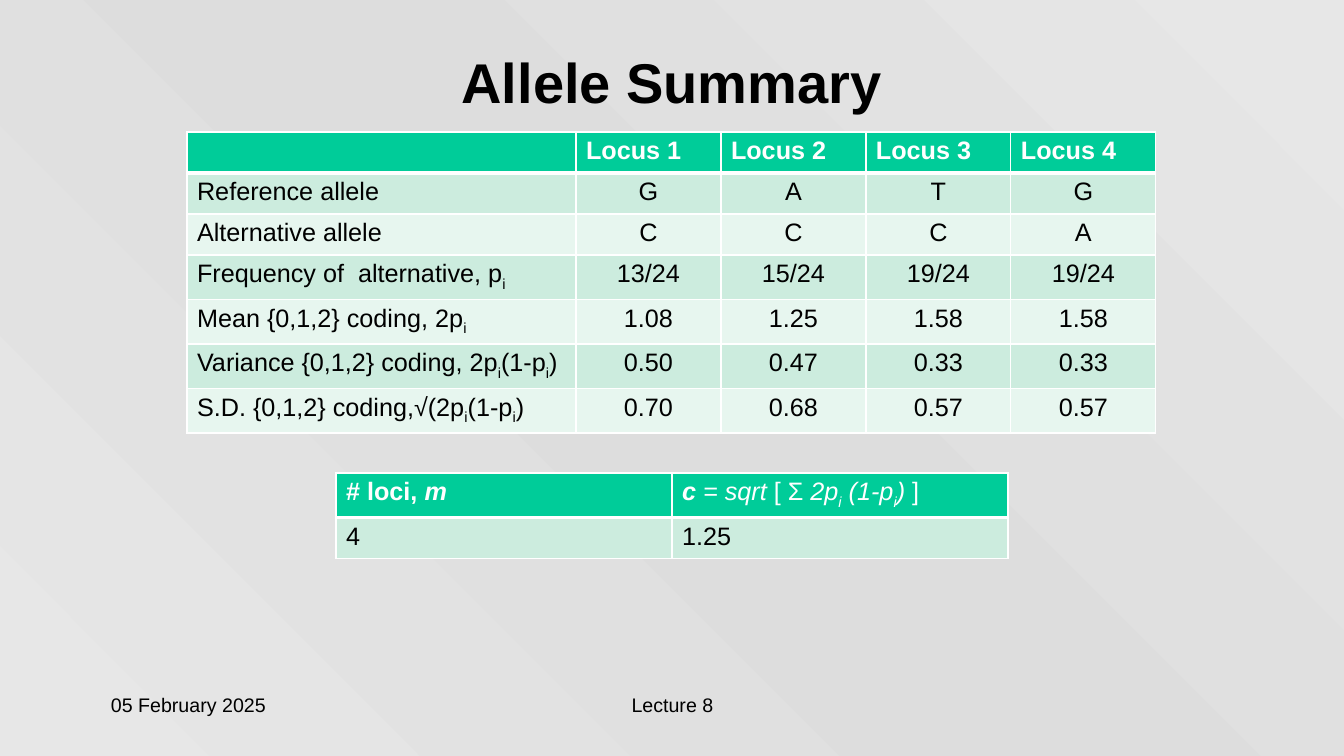
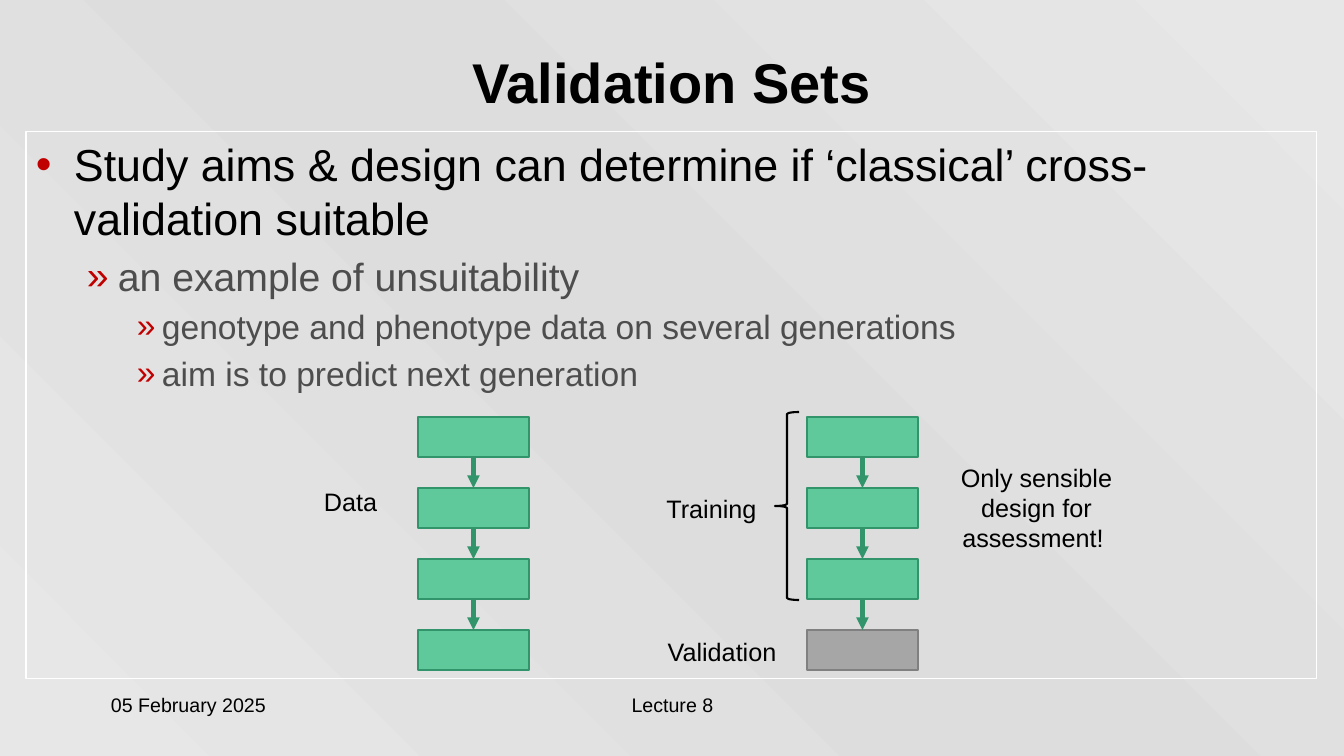
from dataclasses import dataclass

from pptx import Presentation
from pptx.dml.color import RGBColor
from pptx.enum.shapes import MSO_CONNECTOR, MSO_SHAPE as SHAPE
from pptx.enum.text import MSO_ANCHOR, PP_ALIGN
from pptx.oxml.ns import qn
from pptx.oxml.xmlchemy import OxmlElement
from pptx.util import Emu, Pt

LEFT, CENTER = PP_ALIGN.LEFT, PP_ALIGN.CENTER


@dataclass(frozen=True)
class Theme:
    font: str = "Arial"
    title: int = 40
    text: int = 18
    footer: int = 14
    levels: tuple = ((32, "000000"), (28, "4D4D4D"), (24, "4D4D4D"))
    black: str = "000000"
    white: str = "FFFFFF"
    bullet: str = "C00000"
    backdrop: tuple = ((0, "E7E7E7"), (50, "DDDDDD"), (100, "E7E7E7"))
    header: str = "00CC99"
    bands: tuple = ("CCECDE", "E7F6EF")
    data: tuple = ("60C99C", "32946A")
    held_out: tuple = ("A6A6A6", "808080")


T = Theme()

# A run is plain text or (text, flags): b bold, i italic, s subscript
SUB = ("i", "s")
SUB_ITALIC = ("i", "is")

FOOTERS = [
    ("05 February 2025", (101, 688, 280, 50), LEFT),
    ("Lecture 8", (460, 688, 425, 50), CENTER),
]

ALLELES = [
    [[], ["Locus 1"], ["Locus 2"], ["Locus 3"], ["Locus 4"]],
    [["Reference allele"], ["G"], ["A"], ["T"], ["G"]],
    [["Alternative allele"], ["C"], ["C"], ["C"], ["A"]],
    [["Frequency of  alternative, p", SUB],
     ["13/24"], ["15/24"], ["19/24"], ["19/24"]],
    [["Mean {0,1,2} coding, 2p", SUB],
     ["1.08"], ["1.25"], ["1.58"], ["1.58"]],
    [["Variance {0,1,2} coding, 2p", SUB, "(1-p", SUB, ")"],
     ["0.50"], ["0.47"], ["0.33"], ["0.33"]],
    [["S.D. {0,1,2} coding,√(2p", SUB, "(1-p", SUB, ")"],
     ["0.70"], ["0.68"], ["0.57"], ["0.57"]],
]

SCALING = [
    [["# loci, ", ("m", "bi")],
     [("c ", "bi"), ("= sqrt", "i"), (" [ Σ", ""), (" 2p", "i"), SUB_ITALIC,
      (" (1-p", "i"), SUB_ITALIC, (")", "i"), (" ]", "")]],
    [["4"], ["1.25"]],
]

# Level, bullet, left indent, hanging indent, text
POINTS = [
    (0, "•", 38, 38, "Study aims & design can determine if ‘classical’ "
                     "cross-validation suitable"),
    (1, "»", 82, 31, "an example of unsuitability"),
    (2, "»", 126, 25, "genotype and phenotype data on several generations"),
    (2, "»", 126, 25, "aim is to predict next generation"),
]

GENERATIONS = [
    (418, [T.data] * 4),
    (807, [T.data] * 3 + [T.held_out]),
]
BOX_TOP, BOX_W, BOX_H, BOX_GAP = 417, 111, 40, 31

LABELS = [
    ("Data", (314, 481, 88, 40), LEFT),
    ("Training", (651, 488, 121, 40), CENTER),
    ("Validation", (654, 631, 136, 40), CENTER),
    ("Only sensible design for assessment! ", (941, 457, 191, 102), CENTER),
]


def px(n):
    return Emu(round(n * 914400 / 100.8))


def frame(box):
    return [px(n) for n in box]


def rgb(color):
    return RGBColor.from_string(color)


def add_child(parent, tag, **attrs):
    child = OxmlElement(tag)
    for name, value in attrs.items():
        child.set(name, str(value))
    parent.append(child)
    return child


def write(p, runs, size, color=T.black, flags="", align=LEFT):
    p.alignment = align
    p.font.size = Pt(size)
    for item in runs:
        text, style = (item, flags) if isinstance(item, str) else item
        r = p.add_run()
        r.text = text
        r.font.name, r.font.size = T.font, Pt(size)
        r.font.color.rgb = rgb(color)
        r.font.bold, r.font.italic = "b" in style, "i" in style
        if "s" in style:
            r.font._element.set("baseline", "-25000")


def add_text(s, text, box, size, align=LEFT, flags="", anchor=MSO_ANCHOR.TOP):
    tf = s.shapes.add_textbox(*frame(box)).text_frame
    tf.word_wrap = True
    tf.vertical_anchor = anchor
    write(tf.paragraphs[0], [text], size, flags=flags, align=align)


def add_shape(s, kind, box, fill, line, width):
    sp = s.shapes.add_shape(kind, *frame(box))
    sp.shadow.inherit = False
    if fill:
        sp.fill.solid()
        sp.fill.fore_color.rgb = rgb(fill)
    else:
        sp.fill.background()
    sp.line.color.rgb = rgb(line)
    sp.line.width = Pt(width)
    return sp


def add_arrow(s, start, end, color):
    """Join the bottom of one box to the top of the next."""
    line = s.shapes.add_connector(MSO_CONNECTOR.STRAIGHT, 0, 0, 0, 0)
    line.begin_connect(start, 2)
    line.end_connect(end, 0)
    line.line.color.rgb = rgb(color)
    line.line.width = Pt(3)
    add_child(line.line._get_or_add_ln(), "a:tailEnd", type="triangle")
    add_child(line._element.spPr, "a:effectLst")


def style_cell(cell, fill, top, bottom):
    tc_pr = cell._tc.get_or_add_tcPr()
    for side, width in (("L", 1), ("R", 1), ("T", top), ("B", bottom)):
        ln = add_child(tc_pr, f"a:ln{side}", w=Pt(width))
        add_child(add_child(ln, "a:solidFill"), "a:srgbClr", val=T.white)
    cell.fill.solid()
    cell.fill.fore_color.rgb = rgb(fill)


def add_table(s, rows, x, y, widths, row_h=41, value_align=LEFT):
    box = (x, y, sum(widths), row_h * len(rows))
    table = s.shapes.add_table(len(rows), len(widths), *frame(box)).table
    for column, width in zip(table.columns, widths):
        column.width = px(width)
    for i, row in enumerate(rows):
        table.rows[i].height = px(row_h)
        fill = T.bands[(i - 1) % 2] if i else T.header
        color, flags = (T.black, "") if i else (T.white, "b")
        for j, runs in enumerate(row):
            cell = table.cell(i, j)
            style_cell(cell, fill, 3 if i == 1 else 1, 1 if i else 3)
            align = value_align if i and j else LEFT
            write(cell.text_frame.paragraphs[0], runs, T.text, color, flags, align)


def add_points(s, points, box):
    sp = add_shape(s, SHAPE.RECTANGLE, box, None, T.white, 0.75)
    tf = sp.text_frame
    tf.word_wrap = True
    tf.vertical_anchor = MSO_ANCHOR.TOP
    for i, (level, mark, indent, hang, text) in enumerate(points):
        size, color = T.levels[level]
        p = tf.add_paragraph() if i else tf.paragraphs[0]
        p.level = level
        p_pr = p._p.get_or_add_pPr()
        p_pr.set("marL", str(px(indent)))
        p_pr.set("indent", str(px(-hang)))
        add_child(add_child(p_pr, "a:buClr"), "a:srgbClr", val=T.bullet)
        add_child(p_pr, "a:buFont", typeface=T.font)
        add_child(p_pr, "a:buChar", char=mark)
        if i:
            p.space_before = Pt(round(size * 0.2, 1))
        write(p, [text], size, color)


def set_backdrop(master):
    fill = master.background.fill
    fill.gradient()
    fill.gradient_angle = 45
    stops = master._element.cSld.find(".//" + qn("a:gsLst"))
    for stop in list(stops):
        stops.remove(stop)
    for percent, color in T.backdrop:
        stop = add_child(stops, "a:gs", pos=percent * 1000)
        add_child(stop, "a:srgbClr", val=color)


def new_slide(prs, title):
    s = prs.slides.add_slide(prs.slide_layouts[6])
    add_text(s, title, (26, 30, 1291, 102), T.title, CENTER, "b", MSO_ANCHOR.MIDDLE)
    for text, box, align in FOOTERS:
        add_text(s, text, box, T.footer, align)
    return s


def allele_summary(prs):
    s = new_slide(prs, "Allele Summary")
    add_table(s, ALLELES, 187, 132, [389] + [145] * 4, value_align=CENTER)
    add_table(s, SCALING, 336, 473, [336, 336])


def validation_sets(prs):
    s = new_slide(prs, "Validation Sets")
    add_points(s, POINTS, (26, 132, 1291, 547))
    for x, colors in GENERATIONS:
        boxes = [
            add_shape(s, SHAPE.RECTANGLE,
                      (x, BOX_TOP + i * (BOX_H + BOX_GAP), BOX_W, BOX_H),
                      fill, line, 2)
            for i, (fill, line) in enumerate(colors)
        ]
        for start, end in zip(boxes, boxes[1:]):
            add_arrow(s, start, end, T.data[1])
    add_shape(s, SHAPE.LEFT_BRACE, (775, 412, 24, 188), None, T.black, 1.5)
    for text, box, align in LABELS:
        add_text(s, text, box, T.text, align)


def main():
    prs = Presentation()
    prs.slide_width, prs.slide_height = px(1344), px(756)
    set_backdrop(prs.slide_master)
    allele_summary(prs)
    validation_sets(prs)
    prs.save("out.pptx")


if __name__ == "__main__":
    main()
